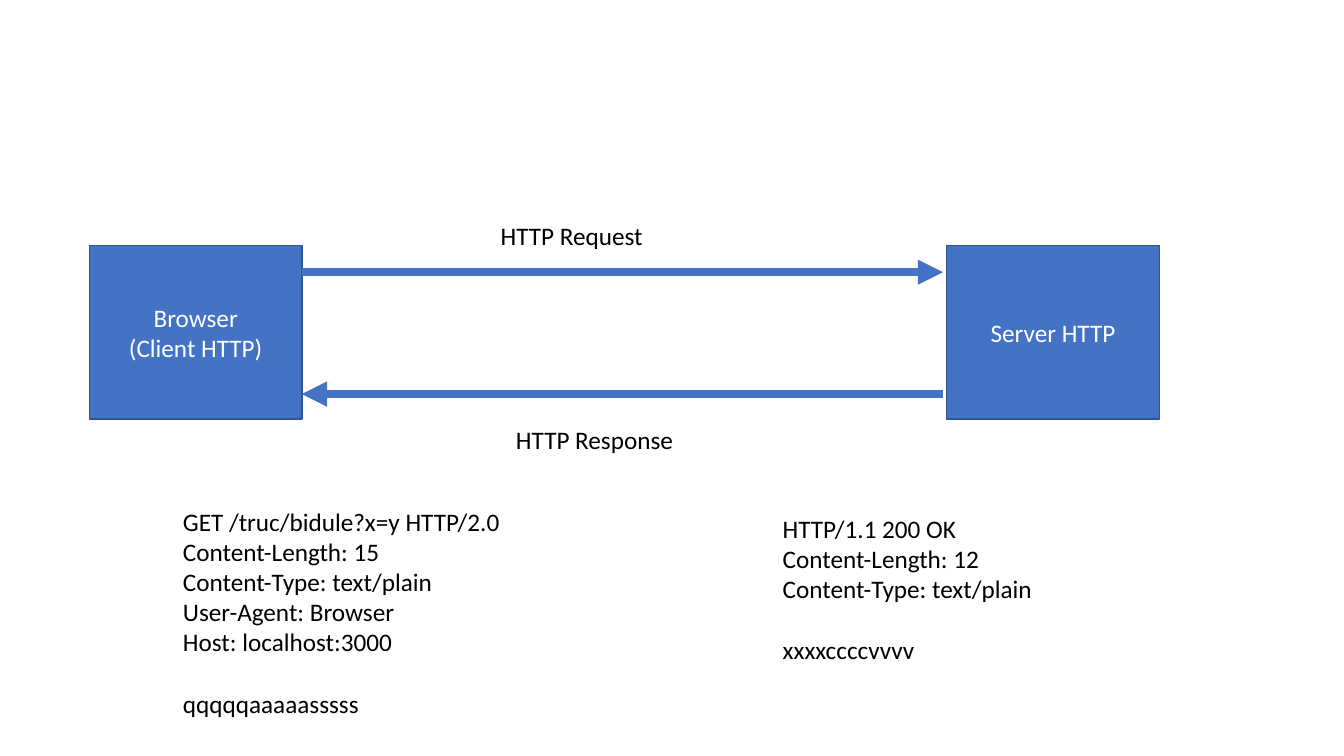
from lxml import etree
from pptx import Presentation
from pptx.dml.color import RGBColor
from pptx.enum.shapes import MSO_CONNECTOR, MSO_SHAPE
from pptx.enum.text import MSO_ANCHOR, PP_ALIGN
from pptx.oxml.ns import qn
from pptx.util import Pt

RECT = MSO_SHAPE.RECTANGLE
STRAIGHT = MSO_CONNECTOR.STRAIGHT
LEFT, CENTER = PP_ALIGN.LEFT, PP_ALIGN.CENTER
TOP, MIDDLE = MSO_ANCHOR.TOP, MSO_ANCHOR.MIDDLE
BLUE = RGBColor(0x44, 0x72, 0xC4)
DARK_BLUE = RGBColor(0x32, 0x54, 0x91)
WHITE = RGBColor(0xFF, 0xFF, 0xFF)
BLACK = RGBColor(0, 0, 0)
LINE_GAP = Pt(22)


def write(sp, lines, body=None, color=BLACK, align=LEFT, anchor=TOP, wrap=False):
    tf = sp.text_frame
    tf.word_wrap = wrap
    tf.vertical_anchor = anchor
    tf.text = "\n".join(lines + ([body] if body else []))
    for p in tf.paragraphs:
        p.alignment = align
        p.font.size = Pt(18)
        for r in p.runs:
            r.font.name = "Calibri"
            r.font.size = Pt(18)
            r.font.color.rgb = color
    if body:
        tf.paragraphs[-1].space_before = LINE_GAP


prs = Presentation()
prs.slide_width, prs.slide_height = Pt(960), Pt(540)
s = prs.slides.add_slide(prs.slide_layouts[6])

for x, lines in [(63.8, ["Browser", "(Client HTTP)"]), (676.2, ["Server HTTP"])]:
    sp = s.shapes.add_shape(RECT, Pt(x), Pt(175.5), Pt(152), Pt(124))
    sp.shadow.inherit = False
    sp.fill.solid()
    sp.fill.fore_color.rgb = BLUE
    sp.line.color.rgb = DARK_BLUE
    sp.line.width = Pt(1)
    write(sp, lines, color=WHITE, align=CENTER, anchor=MIDDLE, wrap=True)

client_x, server_x = 215.6, 673.6
for x1, x2, y in [(client_x, server_x, 194.4), (server_x, client_x, 281.5)]:
    arrow = s.shapes.add_connector(STRAIGHT, Pt(x1), Pt(y), Pt(x2), Pt(y))
    arrow.line.color.rgb = BLUE
    arrow.line.width = Pt(6)
    etree.SubElement(arrow.line._get_or_add_ln(), qn("a:tailEnd"), type="triangle")
    etree.SubElement(arrow._element.spPr, qn("a:effectLst"))

request = ["GET /truc/bidule?x=y HTTP/2.0", "Content-Length: 15",
           "Content-Type: text/plain", "User-Agent: Browser", "Host: localhost:3000"]
response = ["HTTP/1.1 200 OK", "Content-Length: 12", "Content-Type: text/plain"]
texts = [
    (350.5, 153.5, 117.5, 29, ["HTTP Request"], None),
    (361.5, 299.5, 128, 29, ["HTTP Response"], None),
    (123.6, 357.8, 243.4, 160, request, "qqqqqaaaaasssss"),
    (552, 362.8, 195, 116.5, response, "xxxxccccvvvv"),
]
for x, y, w, h, lines, body in texts:
    sp = s.shapes.add_textbox(Pt(x), Pt(y), Pt(w), Pt(h))
    write(sp, lines, body)

prs.save("out.pptx")
